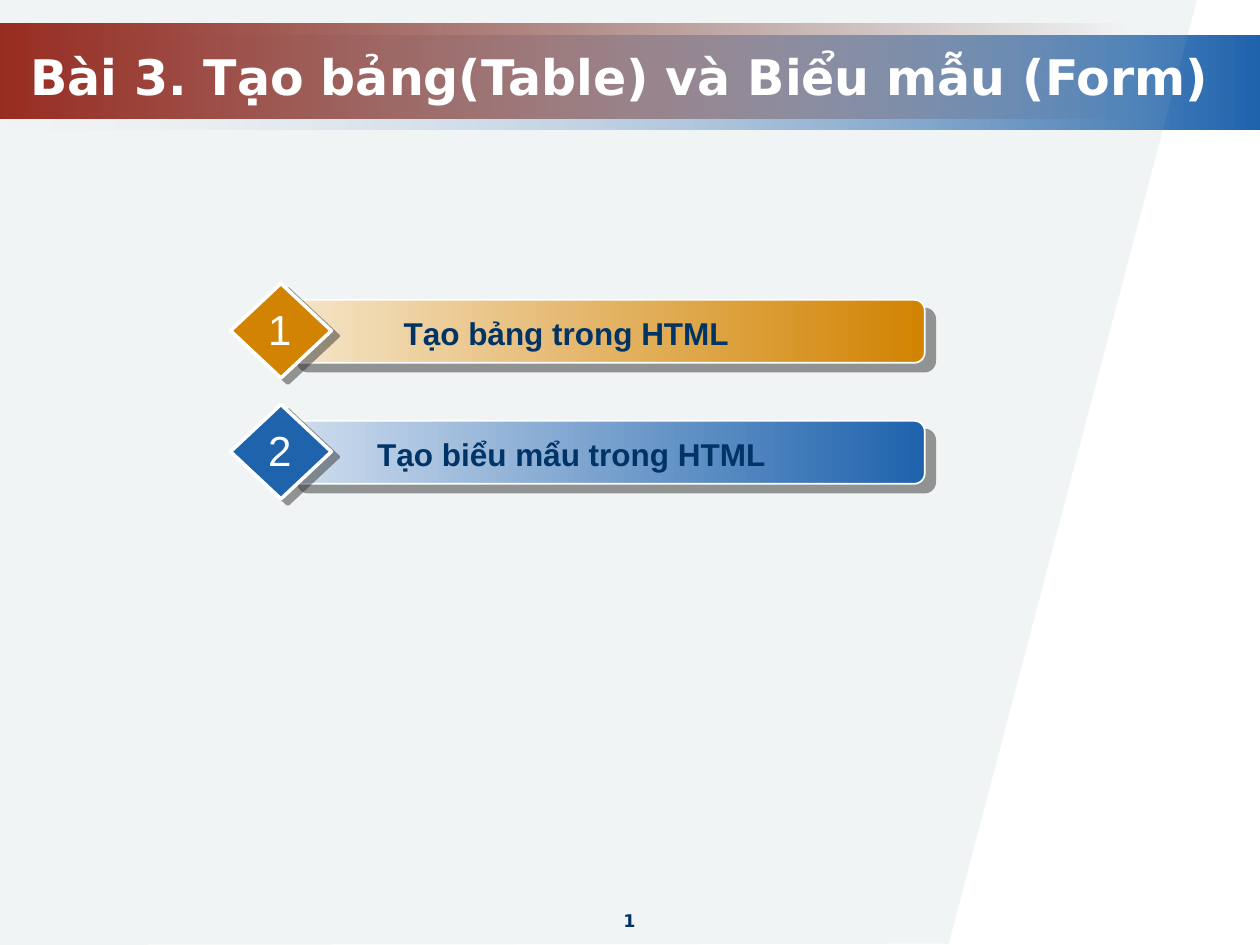
"""Build the lesson outline slide on HTML tables and forms."""
import pptx
import pptx.util
from lxml import etree
from pptx.dml.color import RGBColor
from pptx.enum.shapes import MSO_SHAPE
from pptx.enum.text import MSO_ANCHOR, PP_ALIGN
from pptx.oxml.ns import qn
from pptx.util import Inches, Pt

WHITE = RGBColor(0xFF, 0xFF, 0xFF)
NAVY = RGBColor(0x00, 0x33, 0x66)
BLUE = RGBColor(0x1F, 0x63, 0xAD)
PALE_BLUE = RGBColor(0xD0, 0xDE, 0xEE)
ICE = RGBColor(0xE3, 0xEB, 0xF5)
RED = RGBColor(0x99, 0x19, 0x0B)
DARK_RED = RGBColor(0x47, 0x0C, 0x05)
ORANGE = RGBColor(0xD2, 0x83, 0x02)
CREAM = RGBColor(0xF5, 0xE5, 0xC9)
GREY = RGBColor(0x97, 0xAD, 0xB5)
SHADOW = RGBColor(0x33, 0x33, 0x33)

TITLE = "Bài 3. Tạo bảng(Table) và Biểu mẫu (Form)"
PAGE_NUMBER = "1"
TOPICS = [
    ("1", "Tạo bảng trong HTML", CREAM, ORANGE, 2.5),
    ("2", "Tạo biểu mẩu trong HTML", PALE_BLUE, BLUE, 2.54),
]
BANDS = [
    (0.28, 10, (ICE, 0), (BLUE, 100)),
    (0.19, 9, (RED, 100), (DARK_RED, 0)),
]
PANEL = [(0, 0), (9.5, 0), (7.53, 7.49), (0, 7.5)]
TOPIC_TOP, TOPIC_STEP = 2.25, 0.96


def set_alpha(color_element, percent):
    etree.SubElement(color_element, qn("a:alpha")).set("val", str(percent * 1000))


def add_block(shapes, kind, place, line_width=None):
    block = shapes.add_shape(kind, *map(Inches, place))
    block.shadow.inherit = False
    if line_width:
        block.line.color.rgb = WHITE
        block.line.width = Pt(line_width)
    else:
        block.line.fill.background()
    return block


def fill_gradient(shape, *ends):
    shape.fill.gradient()
    shape.fill.gradient_angle = 0
    for stop, position, (color, opacity) in zip(shape.fill.gradient_stops, (0, 1), ends):
        stop.color.rgb = color
        stop.position = position
    colors = shape.element.spPr.findall(".//" + qn("a:gs") + "/" + qn("a:srgbClr"))
    for element, (color, opacity) in zip(colors, ends):
        if opacity < 100:
            set_alpha(element, opacity)


def add_shadow(shape, distance, angle):
    effects = shape.element.spPr.find(qn("a:effectLst"))
    outer = etree.SubElement(effects, qn("a:outerShdw"))
    for name, value in (("blurRad", 0), ("dist", Pt(distance)), ("dir", angle * 60000),
                        ("algn", "ctr"), ("rotWithShape", 0)):
        outer.set(name, str(value))
    color = etree.SubElement(outer, qn("a:srgbClr"))
    color.set("val", str(SHADOW))
    set_alpha(color, 50)


def add_text(shapes, text, place, size, color, font="Arial", bold=True,
             align=PP_ALIGN.CENTER, wrap=True):
    box = shapes.add_textbox(*map(Inches, place))
    box.text_frame.word_wrap = wrap
    para = box.text_frame.paragraphs[0]
    para.text = text
    para.alignment = align
    span = para.runs[0]
    span.font.name = font
    span.font.size = Pt(size)
    span.font.bold = bold
    span.font.color.rgb = color
    return box


def add_topic(page, top, number, label, light, dark, label_left):
    group = page.shapes.add_group_shape().shapes
    bar = add_block(group, MSO_SHAPE.ROUNDED_RECTANGLE, (2.28, top + 0.13, 5.06, 0.5), 1)
    fill_gradient(bar, (light, 100), (dark, 100))
    add_shadow(bar, 7.8, 40)
    diamond = add_block(group, MSO_SHAPE.DIAMOND, (1.83, top, 0.8, 0.75), 2)
    diamond.fill.solid()
    diamond.fill.fore_color.rgb = dark
    add_shadow(diamond, 5, 37)
    add_text(group, label, (label_left, top + 0.19, 3.99, 0.4), 18, NAVY)
    add_text(group, number, (2.03, top + 0.11, 0.38, 0.5), 24, WHITE, bold=False, wrap=False)


def main():
    deck = pptx.Presentation()
    deck.slide_width, deck.slide_height = Inches(10), Inches(7.5)
    page = deck.slides.add_slide(deck.slide_layouts[6])

    for top, width, start, end in BANDS:
        band = add_block(page.shapes, MSO_SHAPE.RECTANGLE, (0, top, width, 0.75))
        fill_gradient(band, start, end)

    corners = [(Inches(x), Inches(y)) for x, y in PANEL]
    builder = page.shapes.build_freeform(*corners[0])
    builder.add_line_segments(corners[1:], close=True)
    panel = builder.convert_to_shape()
    panel.shadow.inherit = False
    panel.line.fill.background()
    panel.fill.solid()
    panel.fill.fore_color.rgb = GREY
    set_alpha(panel.element.spPr.find(qn("a:solidFill") + "/" + qn("a:srgbClr")), 13)

    add_text(page.shapes, PAGE_NUMBER, (3.83, 7.17, 2.33, 0.28), 10, NAVY, "DejaVu Sans")
    title = add_text(page.shapes, TITLE, (0, 0.29, 10, 0.62), 28, WHITE, "DejaVu Sans",
                     align=PP_ALIGN.LEFT)
    title.text_frame.vertical_anchor = MSO_ANCHOR.MIDDLE
    title.text_frame.margin_left = Inches(0.24)

    for index, topic in enumerate(TOPICS):
        add_topic(page, TOPIC_TOP + index * TOPIC_STEP, *topic)

    deck.save("out.pptx")


if __name__ == "__main__":
    main()
